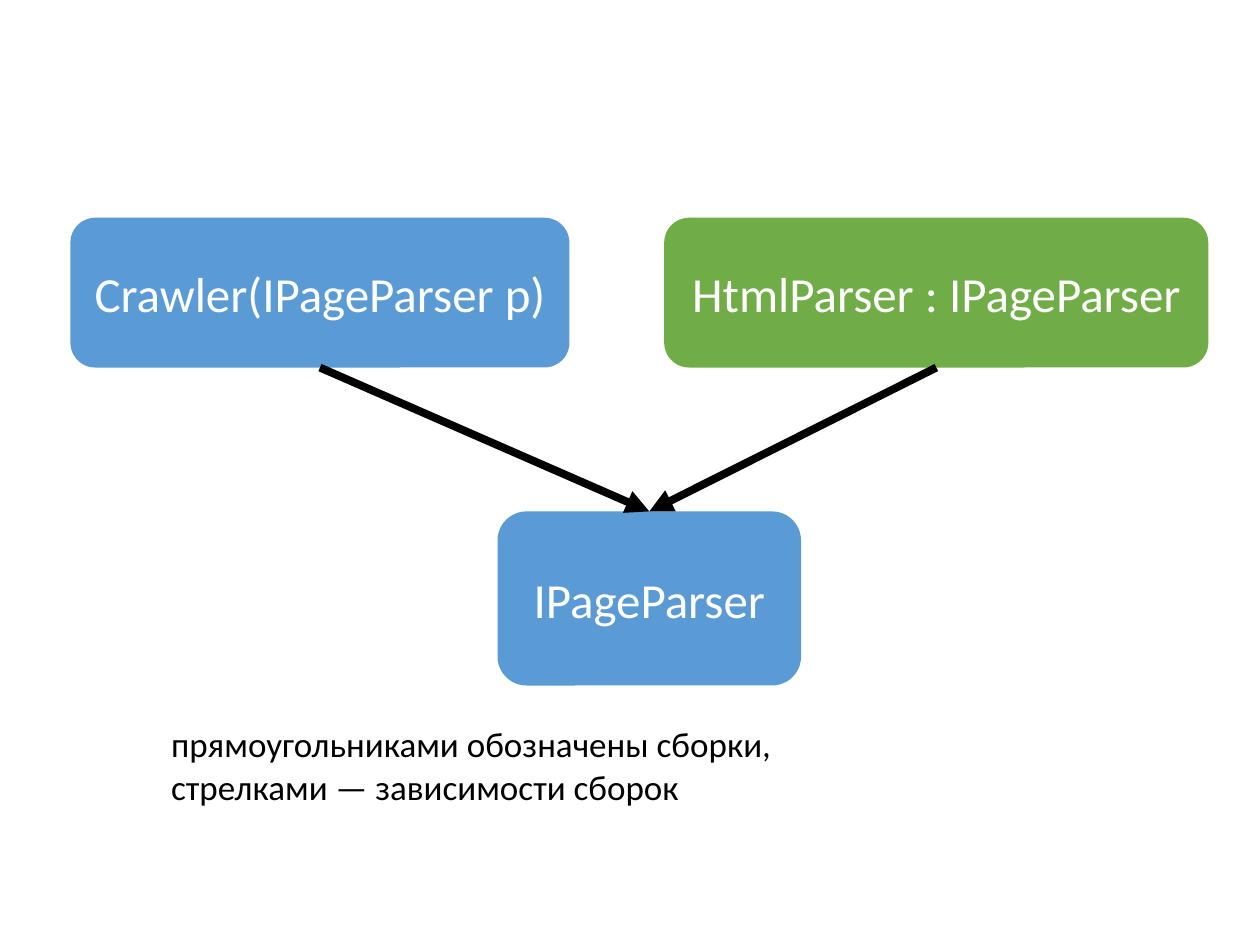
"""Draw a slide of assemblies and the dependencies between them."""
import pptx
import pptx.dml.color
import pptx.enum.shapes
import pptx.enum.text
import pptx.oxml.ns
import pptx.util
from lxml import etree

Cm = pptx.util.Cm
BLUE, GREEN, WHITE, BLACK = "5B9BD5", "70AD47", "FFFFFF", "000000"
TOP, BOTTOM = 0, 2


def color(code):
    return pptx.dml.color.RGBColor.from_string(code)


def write(shape, text, size, code, align):
    frame = shape.text_frame
    frame.text = text
    for para in frame.paragraphs:
        para.alignment = align
        for run in para.runs:
            run.font.name = "Calibri"
            run.font.size = pptx.util.Pt(size)
            run.font.color.rgb = color(code)


def add_box(slide, text, fill, *place):
    kind = pptx.enum.shapes.MSO_SHAPE.ROUNDED_RECTANGLE
    box = slide.shapes.add_shape(kind, *map(Cm, place))
    box.shadow.inherit = False
    box.fill.solid()
    box.fill.fore_color.rgb = color(fill)
    box.line.fill.background()
    box.text_frame.vertical_anchor = pptx.enum.text.MSO_ANCHOR.MIDDLE
    write(box, text, 28, WHITE, pptx.enum.text.PP_ALIGN.CENTER)
    return box


def add_arrow(slide, start, end):
    kind = pptx.enum.shapes.MSO_CONNECTOR.STRAIGHT
    arrow = slide.shapes.add_connector(kind, 0, 0, 0, 0)
    arrow.begin_connect(start, BOTTOM)
    arrow.end_connect(end, TOP)
    arrow.line.color.rgb = color(BLACK)
    arrow.line.width = pptx.util.Pt(4.5)
    qn = pptx.oxml.ns.qn
    etree.SubElement(arrow.line._get_or_add_ln(), qn("a:tailEnd"), type="triangle")
    etree.SubElement(arrow._element.spPr, qn("a:effectLst"))


def add_note(slide, text, *place):
    note = slide.shapes.add_textbox(*map(Cm, place))
    note.text_frame.word_wrap = False
    note.text_frame.auto_size = pptx.enum.text.MSO_AUTO_SIZE.SHAPE_TO_FIT_TEXT
    write(note, text, 20, BLACK, pptx.enum.text.PP_ALIGN.LEFT)


def main():
    deck = pptx.Presentation()
    deck.slide_width, deck.slide_height = Cm(25.4), Cm(19.05)
    slide = deck.slides.add_slide(deck.slide_layouts[6])
    crawler = add_box(slide, "Crawler(IPageParser p)", BLUE, 1.42, 4.39, 10.06, 3.02)
    html = add_box(slide, "HtmlParser : IPageParser", GREEN, 13.39, 4.39, 10.97, 3.02)
    parser = add_box(slide, "IPageParser", BLUE, 10.03, 10.31, 6.12, 3.51)
    for user in (crawler, html):
        add_arrow(slide, user, parser)
    add_note(slide, "прямоугольниками обозначены сборки, \vстрелками — зависимости сборок",
             3.2, 14.45, 12.85, 1.96)
    deck.save("out.pptx")


main()
